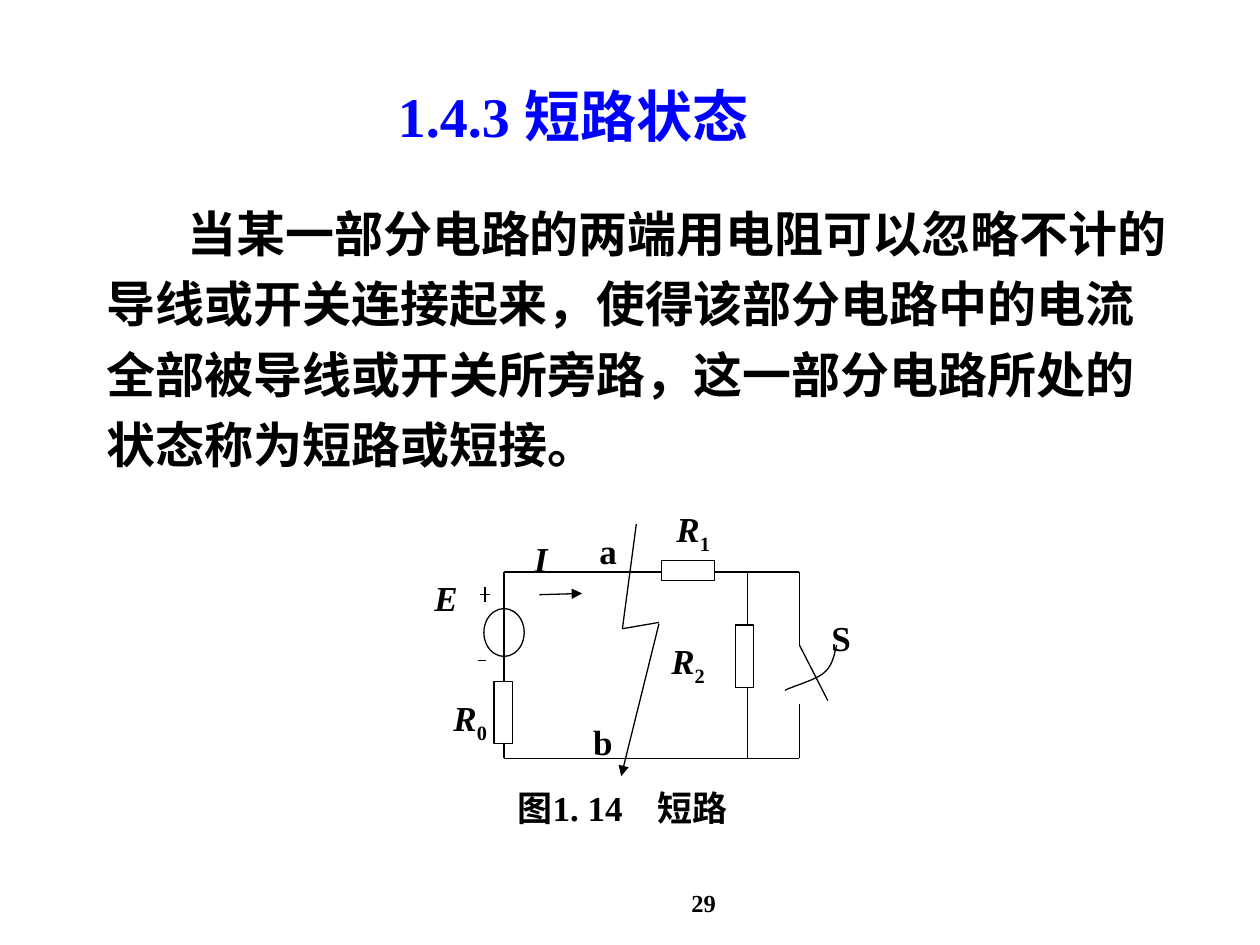
from dataclasses import dataclass
from lxml import etree
from pptx import Presentation
from pptx import util as u
from pptx.dml.color import RGBColor
from pptx.enum import shapes, text
from pptx.oxml.ns import qn


@dataclass(frozen=True)
class Theme:
    font: str = "Times New Roman"
    ink: str = "000000"
    paper: str = "FFFFFF"
    heading: str = "0000FF"
    title: int = 32
    body: int = 28
    label: int = 20
    page: int = 14
    wire: float = 0.75


T = Theme()
COLS, ROWS = 100, 75
WIDTH, HEIGHT = u.Inches(10), u.Inches(7.5)
LEFT, MID, RIGHT = 40, 59.3, 63.45
TOP, BOTTOM = 45.4, 60.2


def gx(col):
    return round(WIDTH * col / COLS)


def gy(row):
    return round(HEIGHT * row / ROWS)


def rgb(code):
    return RGBColor.from_string(code)


def add_run(p, words, size, color=T.ink, italic=False, sub=False):
    r = p.add_run()
    r.text = words
    f = r.font
    f.name, f.size, f.bold, f.italic = T.font, u.Pt(size), True, italic
    f.color.rgb = rgb(color)
    if sub:
        f._element.set("baseline", "-25000")


def add_text(s, box, words, size, color=T.ink, italic=False, sub="",
             wrap=False, anchor=text.MSO_ANCHOR.TOP):
    x, y, w, h = box
    tf = s.shapes.add_textbox(gx(x), gy(y), gx(w), gy(h)).text_frame
    tf.word_wrap, tf.vertical_anchor = wrap, anchor
    p = tf.paragraphs[0]
    add_run(p, words, size, color, italic)
    if sub:
        add_run(p, sub, size, color, sub=True)
    return p


def style_line(sp):
    sp.line.color.rgb = rgb(T.ink)
    sp.line.width = u.Pt(T.wire)


def add_part(s, kind, x, y, w, h):
    sp = s.shapes.add_shape(kind, gx(x), gy(y), gx(w), gy(h))
    sp.shadow.inherit = False
    sp.fill.solid()
    sp.fill.fore_color.rgb = rgb(T.paper)
    style_line(sp)


def add_wire(s, x1, y1, x2, y2, arrow=False):
    sp = s.shapes.add_connector(shapes.MSO_CONNECTOR.STRAIGHT,
                                gx(x1), gy(y1), gx(x2), gy(y2))
    style_line(sp)
    if arrow:
        etree.SubElement(sp.line._get_or_add_ln(), qn("a:tailEnd"), type="triangle")
    etree.SubElement(sp._element.spPr, qn("a:effectLst"))


def bezier(points, steps=12):
    for i in range(1, steps + 1):
        t = i / steps
        weights = ((1 - t) ** 3, 3 * t * (1 - t) ** 2, 3 * t * t * (1 - t), t ** 3)
        yield tuple(sum(k * pt[axis] for k, pt in zip(weights, points)) for axis in (0, 1))


def add_curve(s, start, *segments):
    dots = []
    for controls in segments:
        dots += bezier(((dots or [start])[-1], *controls))
    fb = s.shapes.build_freeform(gx(start[0]), gy(start[1]))
    fb.add_line_segments([(gx(x), gy(y)) for x, y in dots], close=False)
    sp = fb.convert_to_shape()
    sp.shadow.inherit = False
    sp.fill.background()
    style_line(sp)


def add_circuit(s):
    rect, oval = shapes.MSO_SHAPE.RECTANGLE, shapes.MSO_SHAPE.OVAL
    add_part(s, oval, 38.4, 48.3, 3.2, 3.8)
    for wire in (
        (LEFT, TOP, MID, TOP),
        (MID, TOP, MID, BOTTOM),
        (MID, BOTTOM, LEFT, BOTTOM),
        (LEFT, BOTTOM, LEFT, TOP),
        (MID, TOP, RIGHT, TOP),
        (RIGHT, TOP, RIGHT, 51.3),
        (RIGHT, 55.9, RIGHT, BOTTOM),
        (RIGHT, BOTTOM, MID, BOTTOM),
        (RIGHT, 51.2, 65.7, 55.6),
        (38.1, 47.2, 38.9, 47.2),
        (38.5, 46.6, 38.5, 47.8),
        (37.9, 52.4, 38.6, 52.4),
        (50.5, 41.6, 49.4, 49.9),
        (49.4, 49.9, 52.3, 49.4),
    ):
        add_wire(s, *wire)
    add_wire(s, 42.8, 47.2, 46.2, 47.1, arrow=True)
    add_wire(s, 52.3, 49.5, 49.3, 61.6, arrow=True)
    for resistor in ((52.5, 44.5, 4.2, 1.6), (58.4, 49.6, 1.4, 5), (39.2, 54.1, 1.5, 4.9)):
        add_part(s, rect, *resistor)
    add_curve(s, (66.4, 51.2),
              ((66.2, 52), (66.1, 52.8), (65.4, 53.4)),
              ((64.7, 54), (62.8, 54.5), (62.3, 54.8)))


def add_labels(s):
    for x, y, words, sub, italic in (
        (33.5, 45.3, "E", "", True),
        (41.4, 42.2, "I", "", True),
        (46.6, 41.5, "a", "", False),
        (46.1, 56.7, "b", "", False),
        (52.7, 39.8, "R", "1", True),
        (52.3, 50.3, "R", "2", True),
        (35, 54.8, "R", "0", True),
        (65, 48.4, "S", "", False),
    ):
        add_text(s, (x, y, 5, 4.2), words, T.label, italic=italic, sub=sub)
    add_text(s, (40.1, 61.9, 24.9, 5.5), "图1. 14　短路", T.label)


def main():
    prs = Presentation()
    prs.slide_width, prs.slide_height = WIDTH, HEIGHT
    s = prs.slides.add_slide(prs.slide_layouts[6])
    add_text(s, (30.6, 6, 30.9, 6.4), "1.4.3 短路状态", T.title, T.heading)
    p = add_text(s, (7.5, 14.7, 86.6, 23.4),
                 "当某一部分电路的两端用电阻可以忽略不计的导线或开关连接起来，"
                 "使得该部分电路中的电流全部被导线或开关所旁路，"
                 "这一部分电路所处的状态称为短路或短接。",
                 T.body, wrap=True, anchor=text.MSO_ANCHOR.MIDDLE)
    p.line_spacing = 1.2
    p._p.get_or_add_pPr().set("indent", str(gx(6.4)))
    add_circuit(s)
    add_labels(s)
    p = add_text(s, (40, 68.3, 31.7, 5), "29", T.page, wrap=True,
                 anchor=text.MSO_ANCHOR.BOTTOM)
    p.alignment = text.PP_ALIGN.CENTER
    prs.save("out.pptx")


if __name__ == "__main__":
    main()
